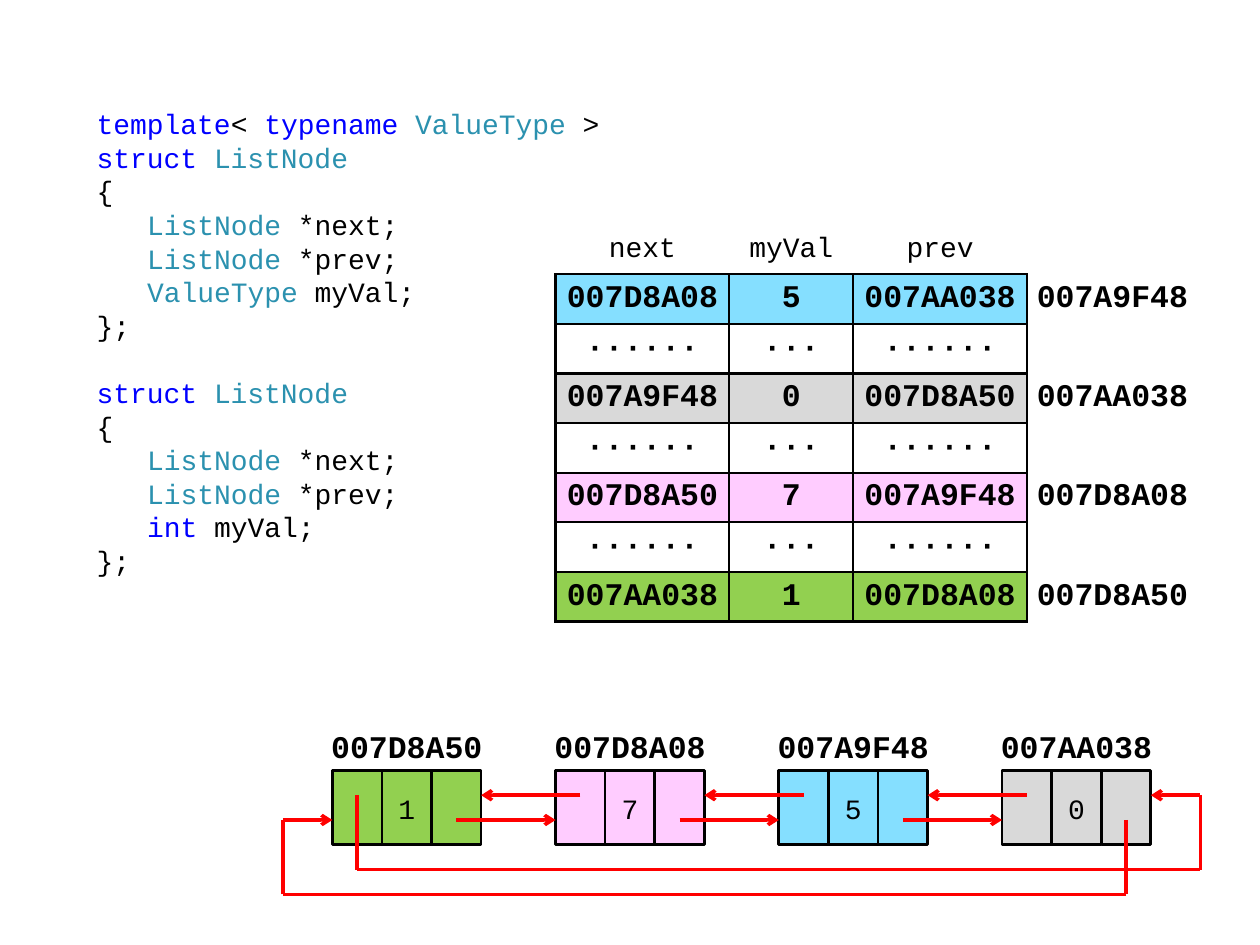
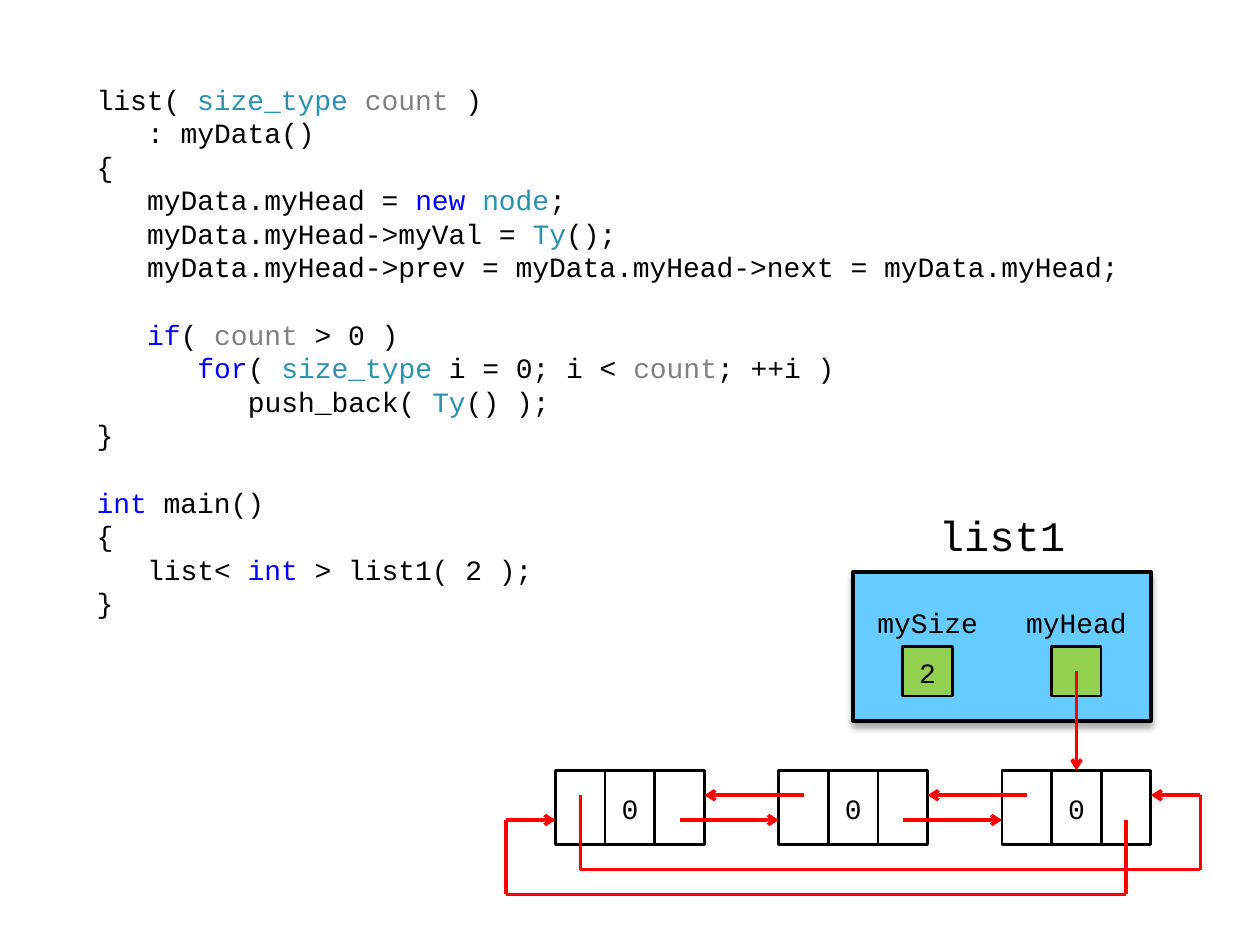
from dataclasses import dataclass

from lxml.etree import SubElement
from pptx import Presentation
from pptx.dml.color import RGBColor
from pptx.enum.shapes import MSO_CONNECTOR, MSO_SHAPE
from pptx.enum.text import MSO_ANCHOR, PP_ALIGN
from pptx.oxml.ns import qn
from pptx.util import Cm, Pt


@dataclass(frozen=True)
class Theme:
    font: str = "Courier New"
    ink: str = "000000"
    keyword: str = "0000FF"
    type_name: str = "2B91AF"
    parameter: str = "808080"
    link: str = "FF0000"
    green: str = "92D050"
    pink: str = "FFCCFF"
    sky: str = "85DFFF"
    grey: str = "D9D9D9"
    panel: str = "66CCFF"
    code_size: float = 16
    code_leading: float = 19.2
    code_char: float = 9.6
    address_size: float = 18
    title_size: float = 24
    outline: float = 1.5
    panel_outline: float = 2.25
    link_width: float = 2


@dataclass(frozen=True)
class Box:
    left: float
    top: float
    width: float
    height: float

    def inner(self, dx, dy, width, height):
        return Box(self.left + dx, self.top + dy, width, height)

    def lengths(self):
        return [Cm(v) for v in (self.left, self.top, self.width, self.height)]


@dataclass(frozen=True)
class Node:
    value: str
    fill: str = None
    address: str = None


THEME = Theme()
SYNTAX = {
    **dict.fromkeys(("template", "typename", "struct", "int", "new", "if", "for"),
                    THEME.keyword),
    **dict.fromkeys(("ValueType", "ListNode", "size_type", "node", "Ty"),
                    THEME.type_name),
    "count": THEME.parameter,
}
CELL = 1.0
NODE_WIDTH = 3 * CELL
NODE_HEIGHT = 1.5
NODE_STEP = 4.5
UPPER, LOWER = 0.5, 1.0

NODE_CODE = """template|< |typename |ValueType| >
struct |ListNode
{
   ListNode| *next;
   ListNode| *prev;
   ValueType |myVal;
};

struct |ListNode
{
   ListNode| *next;
   ListNode| *prev;
   int| myVal;
};"""

LIST_CODE = """list( |size_type |count| )
   : myData()
{
   myData.myHead = |new |node|;
   myData.myHead->myVal = |Ty|();
   myData.myHead->prev = myData.myHead->next = myData.myHead;

   if|( |count| > 0 )
      for|( |size_type| i = 0; i < |count|; ++i )
         push_back( |Ty|() );
}

int| main()
{
   list< |int| > list1( 2 );
}"""


def add_run(paragraph, text, size, color=THEME.ink, bold=False):
    run = paragraph.add_run()
    run.text = text
    run.font.name = THEME.font
    run.font.size = Pt(size)
    run.font.bold = bold
    run.font.color.rgb = RGBColor.from_string(color)


def center_text(frame, text, size, bold=False):
    frame.word_wrap = True
    frame.vertical_anchor = MSO_ANCHOR.MIDDLE
    frame.margin_left = frame.margin_right = Cm(0.1)
    paragraph = frame.paragraphs[0]
    paragraph.alignment = PP_ALIGN.CENTER
    add_run(paragraph, text, size, bold=bold)


def add_label(slide, box, text, size, bold=False):
    label = slide.shapes.add_textbox(*box.lengths())
    center_text(label.text_frame, text, size, bold)


def add_block(slide, box, text="", fill=None, outline=THEME.outline,
              preset=MSO_SHAPE.RECTANGLE):
    block = slide.shapes.add_shape(preset, *box.lengths())
    block.shadow.inherit = False
    if fill:
        block.fill.solid()
        block.fill.fore_color.rgb = RGBColor.from_string(fill)
    else:
        block.fill.background()
    if outline:
        block.line.color.rgb = RGBColor.from_string(THEME.ink)
        block.line.width = Pt(outline)
    else:
        block.line.fill.background()
    if text:
        center_text(block.text_frame, text, THEME.code_size)
        block.text_frame.margin_top = Cm(0.15)
        block.text_frame.margin_bottom = Cm(0.1)
    return block


def add_link(slide, *points):
    for index, (start, end) in enumerate(zip(points, points[1:]), 2):
        link = slide.shapes.add_connector(
            MSO_CONNECTOR.STRAIGHT, *[Cm(v) for v in (*start, *end)])
        link.line.color.rgb = RGBColor.from_string(THEME.link)
        link.line.width = Pt(THEME.link_width)
        if index == len(points):
            SubElement(link.line._get_or_add_ln(), qn("a:tailEnd"), type="arrow")
        SubElement(link._element.spPr, qn("a:effectLst"))


def add_code(slide, box, code):
    frame = slide.shapes.add_textbox(*box.lengths()).text_frame
    frame.word_wrap = True
    paragraph = frame.paragraphs[0]
    gap = 0
    for number, line in enumerate(code.split("\n")):
        if not line:
            gap += THEME.code_leading
            continue
        if number:
            paragraph = frame.add_paragraph()
        paragraph.line_spacing = Pt(THEME.code_leading)
        paragraph.space_before = Pt(gap)
        gap = 0
        statement = line.lstrip()
        indent = Pt((len(line) - len(statement)) * THEME.code_char)
        paragraph._p.get_or_add_pPr().set("marL", str(indent))
        for token in statement.split("|"):
            add_run(paragraph, token, THEME.code_size,
                    SYNTAX.get(token.strip(), THEME.ink))


def add_node(slide, box, node):
    for index, text in enumerate(("", node.value, "")):
        add_block(slide, box.inner(index * CELL, 0, CELL, box.height),
                  text, node.fill)
    if node.address:
        add_label(slide, box.inner(-0.5, -1, box.width + 1, 1),
                  node.address, THEME.address_size, bold=True)


def add_chain(slide, box, nodes):
    upper, lower = box.top + UPPER, box.top + LOWER
    lefts = [box.left + i * NODE_STEP for i in range(len(nodes))]
    for left, node in zip(lefts, nodes):
        add_node(slide, Box(left, box.top, NODE_WIDTH, NODE_HEIGHT), node)
    for left, following in zip(lefts, lefts[1:]):
        right = left + NODE_WIDTH
        add_link(slide, (following + CELL / 2, upper), (right, upper))
        add_link(slide, (right - CELL / 2, lower), (following, lower))
    first, last = lefts[0], lefts[-1] + NODE_WIDTH
    inner, outer = box.top + 2, box.top + box.height
    add_link(slide, (first + CELL / 2, upper), (first + CELL / 2, inner),
             (last + 1, inner), (last + 1, upper), (last, upper))
    add_link(slide, (last - CELL / 2, lower), (last - CELL / 2, outer),
             (first - 1, outer), (first - 1, lower), (first, lower))


def add_border(cell, sides):
    for side in sides:
        line = SubElement(cell._tc.get_or_add_tcPr(), qn(f"a:ln{side}"),
                          w=str(Pt(THEME.outline)))
        SubElement(SubElement(line, qn("a:solidFill")), qn("a:srgbClr"),
                   val=THEME.ink)


def add_memory(slide, box, nodes):
    rows = [("next", "myVal", "prev", "", None)]
    for node in sorted(nodes, key=lambda item: item.address):
        if len(rows) > 1:
            rows.append(("······", "···", "······", "", None))
        place = nodes.index(node)
        following = nodes[place - 1].address
        previous = nodes[(place + 1) % len(nodes)].address
        rows.append((following, node.value, previous, node.address, node.fill))

    table = slide.shapes.add_table(len(rows), 4, *box.lengths()).table
    table.first_row = table.horz_banding = False
    table._tbl.tblPr.find(qn("a:tableStyleId")).text = (
        "{2D5ABB26-0587-4C30-8999-92F81FD0307C}")
    for column, width in zip(table.columns, (3.5, 2.5, 3.5, 3.5)):
        column.width = Cm(width)
    for r, (*texts, fill) in enumerate(rows):
        table.rows[r].height = Cm(box.height / len(rows))
        for c, text in enumerate(texts):
            cell = table.cell(r, c)
            cell.margin_top = cell.margin_bottom = 0
            cell.margin_left = cell.margin_right = Cm(0.2)
            cell.vertical_anchor = MSO_ANCHOR.MIDDLE
            is_field = c < 3
            if r == 0:
                add_border(cell, "B" if is_field else "")
            else:
                add_border(cell, "LRTB" if is_field else "L")
            if fill and is_field:
                cell.fill.solid()
                cell.fill.fore_color.rgb = RGBColor.from_string(fill)
            else:
                cell.fill.background()
            if text:
                paragraph = cell.text_frame.paragraphs[0]
                paragraph.alignment = PP_ALIGN.CENTER if is_field else PP_ALIGN.LEFT
                add_run(paragraph, text,
                        THEME.address_size if r else THEME.code_size, bold=r > 0)


def add_list_object(slide, box):
    panel = add_block(slide, box, fill=THEME.panel, outline=THEME.panel_outline,
                      preset=MSO_SHAPE.FLOWCHART_PROCESS)
    shadow = SubElement(panel._element.spPr.find(qn("a:effectLst")),
                        qn("a:outerShdw"), blurRad=str(Pt(4)), dist=str(Pt(3)),
                        dir="5400000", rotWithShape="0")
    shade = SubElement(shadow, qn("a:srgbClr"), val=THEME.ink)
    SubElement(shade, qn("a:alpha"), val="35000")
    add_label(slide, box.inner(1, -1.5, 4, 1.5), "list1", THEME.title_size)
    half = box.width / 2
    for index, (member, value) in enumerate((("mySize", "2"), ("myHead", ""))):
        add_block(slide, box.inner(index * half, 0.5, half, 1), member,
                  outline=None, preset=MSO_SHAPE.FLOWCHART_PROCESS)
        add_block(slide, box.inner(index * half + 1, 1.5, CELL, CELL),
                  value, THEME.green)
    head = box.left + 1.5 * half
    add_link(slide, (head, box.top + 2), (head, box.top + 4))


def build_node_slide(slide):
    nodes = [Node("1", THEME.green, "007D8A50"), Node("7", THEME.pink, "007D8A08"),
             Node("5", THEME.sky, "007A9F48"), Node("0", THEME.grey, "007AA038")]
    add_code(slide, Box(1.7, 2.03, 11, 10), NODE_CODE)
    add_chain(slide, Box(6.7, 15.53, 16.5, 2.5), nodes)
    add_memory(slide, Box(11.2, 4.53, 13, 8), nodes)


def build_list_slide(slide):
    add_code(slide, Box(1.7, 1.53, 22, 11), LIST_CODE)
    add_chain(slide, Box(11.2, 15.53, 12, 2.5), [Node("0")] * 3)
    add_list_object(slide, Box(17.2, 11.53, 6, 3))


deck = Presentation()
deck.slide_width, deck.slide_height = Cm(25.4), Cm(19.05)
for build in (build_node_slide, build_list_slide):
    build(deck.slides.add_slide(deck.slide_layouts[6]))
deck.save("out.pptx")
